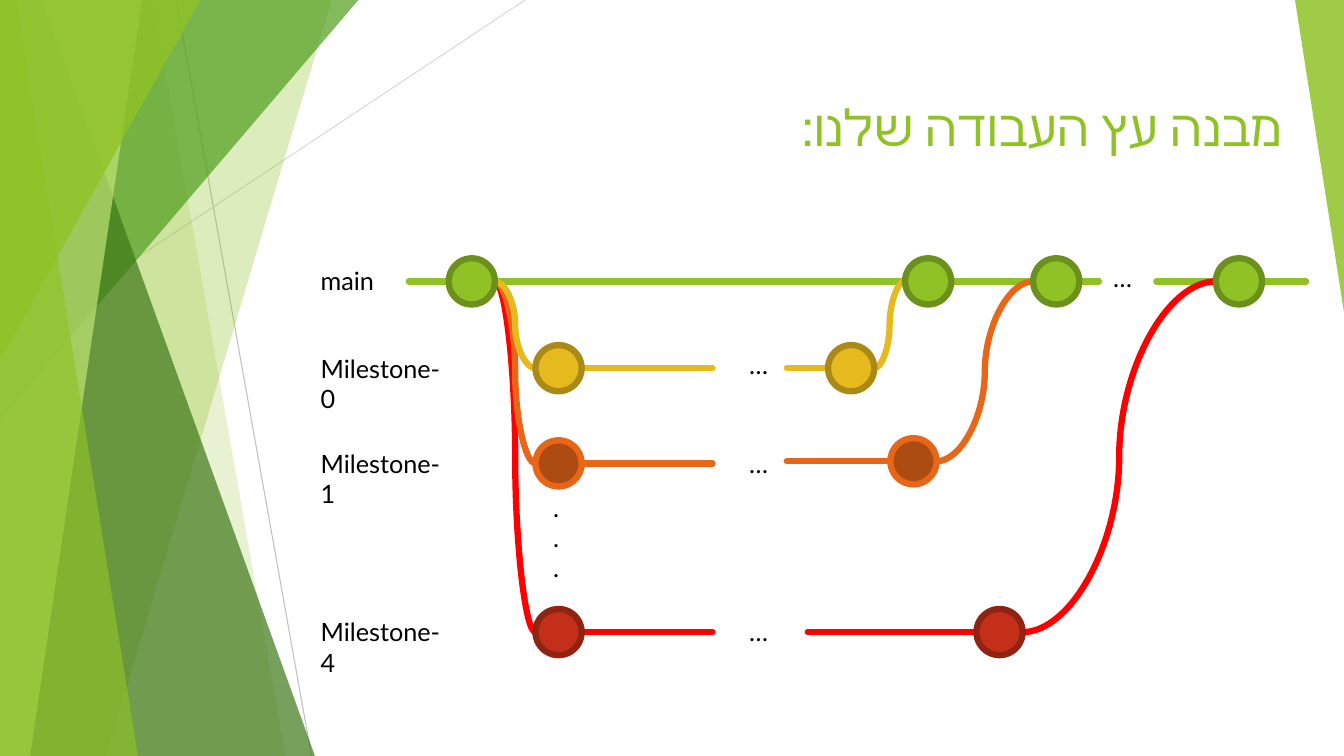
from collections import namedtuple

from lxml import etree
from pptx import Presentation
from pptx.dml.color import RGBColor
from pptx.enum.shapes import MSO_CONNECTOR, MSO_SHAPE
from pptx.enum.text import PP_ALIGN
from pptx.oxml.ns import qn
from pptx.util import Pt

FONT = "Lato"
BLACK = RGBColor(0, 0, 0)
WHITE = RGBColor(255, 255, 255)
GREEN = RGBColor(0x90, 0xC2, 0x26)
MID_GREEN = RGBColor(0x54, 0xA0, 0x21)
DARK_GREEN = RGBColor(0x3F, 0x78, 0x19)
PALE_GREEN = RGBColor(0xC0, 0xE4, 0x74)
GREEN_RIM = RGBColor(0x6B, 0x90, 0x1C)
GREY = RGBColor(0xBF, 0xBF, 0xBF)
LIGHT_GREY = RGBColor(0xD9, 0xD9, 0xD9)
YELLOW = RGBColor(0xE6, 0xB9, 0x1E)
YELLOW_RIM = RGBColor(0xAA, 0x89, 0x16)
ORANGE = RGBColor(0xE7, 0x66, 0x18)
BROWN = RGBColor(0xAD, 0x4C, 0x12)
RED = RGBColor(0xFF, 0, 0)
BRICK = RGBColor(0xC4, 0x2F, 0x1A)
BRICK_RIM = RGBColor(0x91, 0x23, 0x13)

SLIDE_W, SLIDE_H = 960, 540
STROKE = 4.5
RADIUS = 16.5

Branch = namedtuple("Branch", "label y end_y dots_y resume_x end_x merge_x line fill rim")
BRANCHES = [
    Branch("Milestone-0", 79, 79, 62, 340, 386, 441, YELLOW, YELLOW, YELLOW_RIM),
    Branch("Milestone-1", 147, 145.5, 133, 340, 430.5, 532.5, ORANGE, BROWN, ORANGE),
    Branch("Milestone-4", 267.5, 267.5, 253, 355, 492, 663, RED, BRICK, BRICK_RIM),
]
MAIN_Y, START_X, FORK_X, PAUSE_X = 17, 115, 177, 287


def add_line(slide, x1, y1, x2, y2, color, width=STROKE, kind=MSO_CONNECTOR.STRAIGHT):
    line = slide.shapes.add_connector(kind, Pt(x1), Pt(y1), Pt(x2), Pt(y2))
    line.line.color.rgb = color
    line.line.width = Pt(width)
    if width == STROKE:
        line.line._get_or_add_ln().set("cap", "rnd")
    etree.SubElement(line._element.spPr, qn("a:effectLst"))


def add_text(slide, left, top, width, height, text, size=18, color=BLACK):
    box = slide.shapes.add_textbox(Pt(left), Pt(top), Pt(width), Pt(height))
    box.text_frame.word_wrap = True
    paragraph = box.text_frame.paragraphs[0]
    paragraph.text = text
    for run in paragraph.runs:
        run.font.name = FONT
        run.font.size = Pt(size)
        run.font.color.rgb = color
    return paragraph


def paint_facet(shape, color, opacity):
    shape.shadow.inherit = False
    shape.fill.solid()
    shape.fill.fore_color.rgb = color
    shape.line.fill.background()
    clr = shape._element.spPr.find(qn("a:solidFill")).find(qn("a:srgbClr"))
    etree.SubElement(clr, qn("a:alpha")).set("val", str(opacity * 1000))


def add_band(slide, left, top, height, top_w, bottom_w, color, opacity):
    builder = slide.shapes.build_freeform(Pt(left), Pt(top), scale=1.0)
    corners = [(top_w, 0), (bottom_w, height), (0, height)]
    builder.add_line_segments([(Pt(left + x), Pt(top + y)) for x, y in corners], close=True)
    paint_facet(builder.convert_to_shape(), color, opacity)


def add_wedge(slide, left, top, width, height, apex, color, opacity):
    wedge = slide.shapes.add_shape(
        MSO_SHAPE.ISOSCELES_TRIANGLE, Pt(left), Pt(top), Pt(width), Pt(height))
    wedge.adjustments[0] = apex
    wedge.rotation = 180
    paint_facet(wedge, color, opacity)


def add_facets(slide, left, top, width, height):
    add_line(slide, left + 222.5, top + height, left + 126, top, GREY, 0.75)
    add_line(slide, left, top + 249, left + 375, top, LIGHT_GREY, 0.75)
    add_band(slide, left, top, height, 237, 76, GREEN, 30)
    add_band(slide, left, top, height, 109, 204, GREEN, 20)
    add_wedge(slide, left, top, 256, 300, 1, MID_GREEN, 72)
    add_band(slide, left, top, height, 30, 225, DARK_GREEN, 70)
    add_band(slide, left, top, height, 101.5, 21.5, PALE_GREEN, 70)
    add_band(slide, left, top, height, 11.5, 98.5, GREEN, 65)
    add_wedge(slide, left, top, 143, 257, 1, GREEN, 80)
    add_wedge(slide, left + width - 35, top, 35, 223, 0, GREEN, 85)


def add_title(slide, left, top, width, height):
    paragraph = add_text(slide, left, top, width, height, "מבנה עץ העבודה שלנו:", 36, GREEN)
    paragraph.alignment = PP_ALIGN.RIGHT
    paragraph._p.get_or_add_pPr().set("rtl", "1")


def add_work_tree(slide, left, top):
    def line(x1, y1, x2, y2, color, kind=MSO_CONNECTOR.STRAIGHT):
        add_line(slide, left + x1, top + y1, left + x2, top + y2, color, kind=kind)

    def node(x, y, fill, rim):
        circle = slide.shapes.add_shape(
            MSO_SHAPE.OVAL, Pt(left + x - RADIUS), Pt(top + y - RADIUS),
            Pt(2 * RADIUS), Pt(2 * RADIUS))
        circle.shadow.inherit = False
        circle.fill.solid()
        circle.fill.fore_color.rgb = fill
        circle.line.color.rgb = rim
        circle.line.width = Pt(STROKE)

    def text(x, y, width, height, words):
        add_text(slide, left + x, top + y, width, height, words)

    line(70, MAIN_Y, 563, MAIN_Y, GREEN)
    line(604, MAIN_Y, 711, MAIN_Y, GREEN)
    text(0, MAIN_Y - 15, 55, 29, "main")
    text(566, 0, 28, 29, "…")
    text(166, 164, 21, 73, ".\v.\v.")

    for b in reversed(BRANCHES):
        line(START_X + RADIUS, MAIN_Y, FORK_X - RADIUS, b.y, b.line, MSO_CONNECTOR.CURVE)
        line(FORK_X + RADIUS, b.y, PAUSE_X, b.y, b.line)
        line(b.resume_x, b.end_y, b.end_x - RADIUS, b.end_y, b.line)
        line(b.merge_x - RADIUS, MAIN_Y, b.end_x + RADIUS, b.end_y, b.line, MSO_CONNECTOR.CURVE)
        text(0, b.y - 14.5, 108, 51, b.label)
        text(306, b.dots_y, 28, 29, "…")

    node(START_X, MAIN_Y, GREEN, GREEN_RIM)
    for b in BRANCHES:
        node(FORK_X, b.y, b.fill, b.rim)
        node(b.end_x, b.end_y, b.fill, b.rim)
        node(b.merge_x, MAIN_Y, GREEN, GREEN_RIM)


prs = Presentation()
prs.slide_width, prs.slide_height = Pt(SLIDE_W), Pt(SLIDE_H)
slide = prs.slides.add_slide(prs.slide_layouts[6])
slide.background.fill.solid()
slide.background.fill.fore_color.rgb = WHITE
add_facets(slide, 0, 0, SLIDE_W, SLIDE_H)
add_title(slide, 246, 65, 677, 104)
add_work_tree(slide, 222, 184)
prs.save("out.pptx")
